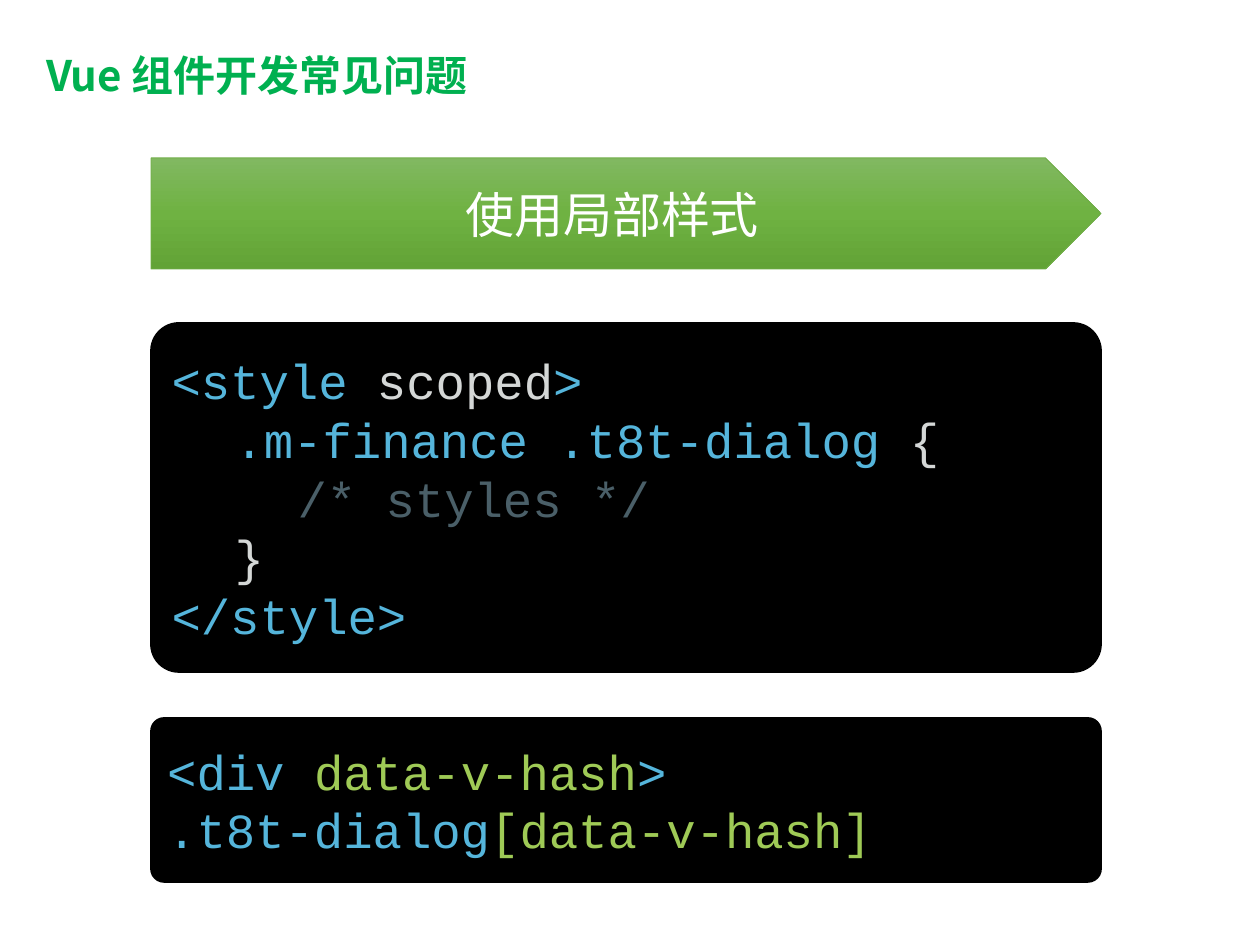
import pptx
import pptx.dml.color
import pptx.enum.shapes
import pptx.enum.text
import pptx.oxml
import pptx.oxml.ns
import pptx.util

SHAPE = pptx.enum.shapes.MSO_SHAPE
ALIGN = pptx.enum.text.PP_ALIGN
PX = 914400 / 126
CJK = "Noto Sans CJK SC"
MONO = "Courier New"
BLUE, GREY, DIM, LIME = "55B5DB", "D4D7D6", "4A5F68", "9FCA56"
INDENT = 63
LEFT, WIDTH = 151, 950

STYLE_CODE = [
    (0, [("<style", BLUE), (" scoped", GREY), (">", BLUE)]),
    (1, [(".m-finance .t8t-dialog", BLUE), (" {", GREY)]),
    (2, [("/* styles */", DIM)]),
    (1, [("}", GREY)]),
    (0, [("</style>", BLUE)]),
]
HASH_CODE = [
    (0, [("<div ", BLUE), ("data-v-hash", LIME), (">", BLUE)]),
    (0, [(".t8t-dialog", BLUE), ("[data-v-hash]", LIME)]),
]


def px(n):
    return pptx.util.Emu(round(n * PX))


def rgb(color):
    return pptx.dml.color.RGBColor.from_string(color)


def add_run(p, text, font, size, color, bold=False):
    r = p.add_run()
    r.text = text
    r.font.name = font
    r.font.size = pptx.util.Pt(size)
    r.font.bold = bold
    r.font.color.rgb = rgb(color)
    ea = r._r.get_or_add_rPr().makeelement(pptx.oxml.ns.qn("a:ea"), {"typeface": font})
    r.font._element.find(pptx.oxml.ns.qn("a:latin")).addnext(ea)


def prepare_text(sp):
    tf = sp.text_frame
    tf.word_wrap = True
    tf.vertical_anchor = pptx.enum.text.MSO_ANCHOR.MIDDLE
    return tf


def add_block(slide, kind, box, line_color, line_width):
    sp = slide.shapes.add_shape(kind, *map(px, box))
    sp.shadow.inherit = False
    sp.line.color.rgb = rgb(line_color)
    sp.line.width = pptx.util.Pt(line_width)
    return sp


def set_gradient(sp, stops):
    sp.fill.gradient()
    sp.fill.gradient_angle = 270
    gs_lst = sp._element.spPr.find(".//" + pptx.oxml.ns.qn("a:gsLst"))
    for gs in list(gs_lst):
        gs_lst.remove(gs)
    for pos, color in stops:
        gs_lst.append(pptx.oxml.parse_xml(
            f'<a:gs {pptx.oxml.ns.nsdecls("a")} pos="{pos * 1000}">'
            f'<a:srgbClr val="{color}"/></a:gs>'))


def add_title(slide, box, text):
    sp = slide.shapes.add_textbox(*map(px, box))
    p = prepare_text(sp).paragraphs[0]
    p.line_spacing = 0.9
    add_run(p, text, CJK, 24, "00B050", bold=True)


def add_banner(slide, box, text):
    sp = add_block(slide, SHAPE.PENTAGON, box, "70AD47", 0.5)
    set_gradient(sp, [(0, "81B861"), (50, "6FB242"), (100, "62A336")])
    p = prepare_text(sp).paragraphs[0]
    p.alignment = ALIGN.CENTER
    add_run(p, text, CJK, 28, "FFFFFF")


def add_code(slide, box, lines):
    sp = add_block(slide, SHAPE.ROUNDED_RECTANGLE, box, "000000", 1)
    sp.adjustments[0] = 0.08
    sp.fill.solid()
    sp.fill.fore_color.rgb = rgb("000000")
    tf = prepare_text(sp)
    for i, (level, runs) in enumerate(lines):
        p = tf.add_paragraph() if i else tf.paragraphs[0]
        p.alignment = ALIGN.LEFT
        p.level = level
        pPr = p._p.get_or_add_pPr()
        pPr.set("marL", str(px(level * INDENT)))
        pPr.set("indent", "0")
        for text, color in runs:
            add_run(p, text, MONO, 28, color)


def main():
    prs = pptx.Presentation()
    prs.slide_width, prs.slide_height = px(1260), px(945)
    slide = prs.slides.add_slide(prs.slide_layouts[6])
    add_title(slide, (34, 43, 586, 70), "Vue 组件开发常见问题")
    add_code(slide, (LEFT, 323, WIDTH, 349), STYLE_CODE)
    add_banner(slide, (LEFT, 158, WIDTH, 111), "使用局部样式")
    add_code(slide, (LEFT, 718, WIDTH, 164), HASH_CODE)
    prs.save("out.pptx")


if __name__ == "__main__":
    main()
